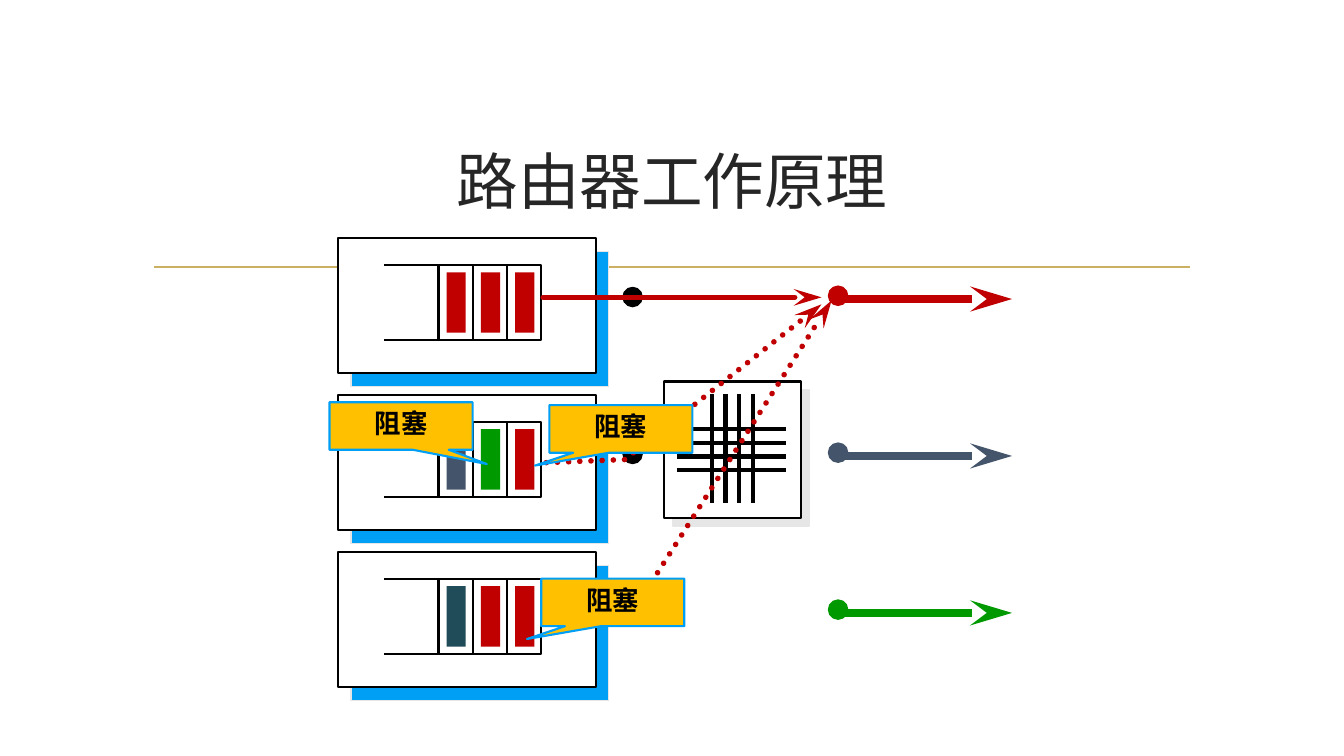
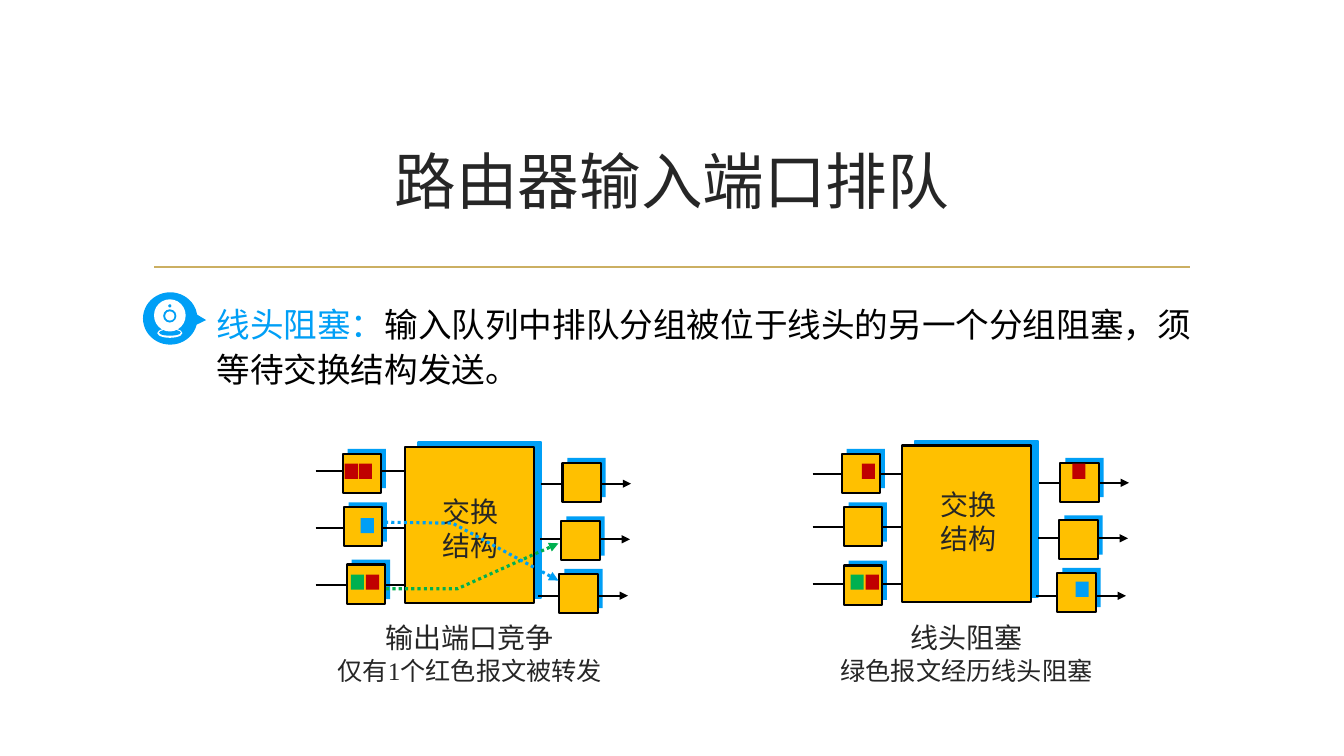
from lxml.etree import SubElement
from pptx import Presentation
from pptx.dml.color import RGBColor
from pptx.enum.dml import MSO_LINE
from pptx.enum.shapes import MSO_CONNECTOR, MSO_SHAPE
from pptx.enum.text import MSO_ANCHOR, PP_ALIGN
from pptx.oxml.ns import qn
from pptx.util import Pt

BLACK, WHITE, INK, GREY = "000000", "FFFFFF", "262626", "E7E6E6"
RED, BLUE, GOLD, GREEN = "C00000", "009FF6", "FFC000", "00B050"
SLATE, LEAF, TEAL, RULE = "44546A", "009900", "204B58", "CBAF62"
SANS, SERIF = "Noto Sans CJK SC", "Times New Roman"

PRINCIPLE_TITLE = "路由器工作原理"
QUEUES = [
    {"packets": [RED, RED, RED], "output": RED},
    {"packets": [SLATE, LEAF, RED], "output": SLATE},
    {"packets": [TEAL, RED, RED], "output": LEAF},
]
ROUTES = [
    ([(389.5, 437.8), (451.4, 437.8), (594, 214.6)], True),
    ([(388, 212.4), (448.6, 212.4), (586.8, 212.4)], False),
    ([(390.2, 330.5), (446.4, 328.3), (586.8, 217.4)], True),
]
BLOCKED = "阻塞"
CALLOUTS = [
    (235.4, 287.3, 0.6, 0.8),
    (386.6, 413.3, -0.6, 0.77),
    (392.4, 289.4, -0.6, 0.77),
]

QUEUING_TITLE = "路由器输入端口排队"
TERM = "线头阻塞："
MEANING = "输入队列中排队分组被位于线头的另一个分组阻塞，须等待交换结构发送。"
FABRIC = "交换结构"
DIAGRAMS = [
    {
        "fabric": (289.4, 319), "label": (301.7, 350, 69),
        "inputs": [
            (244.8, 324, 12.2, [(1.4, 7.2, RED), (11.5, 7.2, RED)]),
            (245.5, 362.2, 15, [(12.2, 7.9, BLUE)]),
            (247.7, 403.2, 14.4, [(13.7, 7.2, RED), (2.9, 7.2, GREEN)]),
        ],
        "outputs": [(401.8, 330.5, 15, []), (401, 372.2, 13, []), (399.6, 409.7, 15.8, [])],
        "paths": [
            ([(275.8, 420.5), (326.9, 420.5), (398.9, 388.1)], GREEN),
            ([(275, 373), (323.3, 373.7), (398.9, 414.7)], BLUE),
        ],
        "caption": (208.1, "输出端口竞争", "仅有1个红色报文被转发"),
    },
    {
        "fabric": (644.4, 318.2), "label": (662.4, 345, 59),
        "inputs": [
            (601.2, 324, 14.4, [(14.4, 7.2, RED)]),
            (602.6, 362.2, 14.4, []),
            (602.6, 403.9, 13, [(15.8, 6.5, RED), (5, 6.5, GREEN)]),
        ],
        "outputs": [
            (757.4, 330.5, 14.4, [(8.6, 0.7, RED)]),
            (756.7, 371.5, 13, []),
            (755.3, 409, 16.6, [(13, 6.5, BLUE)]),
        ],
        "paths": [],
        "caption": (563, "线头阻塞", "绿色报文经历线头阻塞"),
    },
]
WEBCAM = [
    (112.3, 234.5, 18, 6.8, WHITE), (113.6, 235.4, 15.6, 4.4, BLUE),
    (110, 213.8, 22.6, 23, WHITE), (116.6, 221, 9.4, 9.4, BLUE),
    (118, 222.4, 6.6, 6.6, WHITE), (120.2, 217.4, 2.2, 2.2, BLUE),
]


def rgb(value):
    """Turn a hex string into a colour."""
    return RGBColor.from_string(value)


def stroke(line, color, width, dotted=False, rounded=False, head=None, length="med"):
    """Set the colour, width, dash, cap and arrowhead of a line."""
    line.color.rgb = rgb(color)
    line.width = Pt(width)
    if dotted:
        line.dash_style = MSO_LINE.ROUND_DOT
    ln = line._get_or_add_ln()
    if rounded:
        ln.set("cap", "rnd")
    if head:
        SubElement(ln, qn("a:tailEnd"), type=head, w="med", len=length)


def box(slide, x, y, w, h, fill, outline=None, width=1.5, kind=MSO_SHAPE.RECTANGLE):
    """Add a filled preset shape without a shadow."""
    shape = slide.shapes.add_shape(kind, Pt(x), Pt(y), Pt(w), Pt(h))
    shape.shadow.inherit = False
    shape.fill.solid()
    shape.fill.fore_color.rgb = rgb(fill)
    if outline:
        stroke(shape.line, outline, width)
    else:
        shape.line.fill.background()
    return shape


def segment(slide, x1, y1, x2, y2, color=BLACK, width=1.5, **ends):
    """Add a straight line without a shadow."""
    line = slide.shapes.add_connector(MSO_CONNECTOR.STRAIGHT, Pt(x1), Pt(y1), Pt(x2), Pt(y2))
    SubElement(line._element.spPr, qn("a:effectLst"))
    stroke(line.line, color, width, **ends)


def polyline(slide, points, color, width, **ends):
    """Add an open outline through the given points."""
    start, *rest = [(Pt(x), Pt(y)) for x, y in points]
    builder = slide.shapes.build_freeform(*start, scale=1.0)
    builder.add_line_segments(rest, close=False)
    shape = builder.convert_to_shape()
    shape.shadow.inherit = False
    shape.fill.background()
    stroke(shape.line, color, width, **ends)


def style(run, size, color, font, bold=False):
    """Format one run, for Latin and Chinese text alike."""
    run.font.size = Pt(size)
    run.font.bold = bold
    run.font.color.rgb = rgb(color)
    run.font.name = font
    SubElement(run._r.get_or_add_rPr(), qn("a:ea"), typeface=SANS)


def text(slide, x, y, w, h, lines, align=PP_ALIGN.CENTER):
    """Add wrapped text; each line is (runs, size, spacing)."""
    frame = slide.shapes.add_textbox(Pt(x), Pt(y), Pt(w), Pt(h)).text_frame
    frame.word_wrap = True
    for i, (runs, size, spacing) in enumerate(lines):
        paragraph = frame.add_paragraph() if i else frame.paragraphs[0]
        paragraph.alignment = align
        paragraph.line_spacing = Pt(spacing)
        for words, color in runs:
            run = paragraph.add_run()
            run.text = words
            style(run, size, color, SERIF)


def titled_slide(deck, words):
    """Add a slide with the shared title and rule."""
    slide = deck.slides.add_slide(deck.slide_layouts[5])
    title = slide.shapes.title
    title.left, title.top, title.width, title.height = Pt(102.2), Pt(77), Pt(756), Pt(103)
    title.text_frame.text = words
    title.text_frame.vertical_anchor = MSO_ANCHOR.MIDDLE
    paragraph = title.text_frame.paragraphs[0]
    paragraph.alignment = PP_ALIGN.CENTER
    style(paragraph.runs[0], 44, INK, SANS)
    segment(slide, 110.2, 190.8, 850.3, 190.8, RULE, 1.25)
    return slide


def crossbar(slide, x, y, size=97.5):
    """Draw the switching grid with its soft grey shadow."""
    frame = box(slide, x, y, size, size, WHITE, BLACK)
    shadow = SubElement(frame._element.spPr.find(qn("a:effectLst")), qn("a:outerShdw"),
                        dist=str(Pt(8.5)), dir="2700000", algn="ctr", rotWithShape="0")
    SubElement(shadow, qn("a:srgbClr"), val=GREY)
    for i in range(4):
        offset = 34 + 9.8 * i
        segment(slide, x + offset, y + 9, x + offset, y + 87, width=3)
        segment(slide, x + 9, y + offset, x + 87, y + offset, width=3)


def queue(slide, y, packets, output):
    """Draw one input queue and its output line."""
    box(slide, 445, y + 35.3, 13.7, 13.7, BLACK, BLACK, 1, MSO_SHAPE.OVAL)
    box(slide, 250.6, y + 9.8, 184.3, 96.5, BLUE, GREY, 1)
    box(slide, 241.2, y, 184.3, 96.5, WHITE, BLACK)
    top, bottom = y + 19.4, y + 73
    polyline(slide, [(274.3, top), (386.6, top), (386.6, bottom), (274.3, bottom)], BLACK, 1.5)
    for i, color in enumerate(packets):
        x = 313.2 + 24.5 * i
        segment(slide, x, top, x, bottom)
        box(slide, x + 5.8, y + 24.5, 13.7, 43.2, color)
    segment(slide, 601.2, y + 43.6, 722.9, y + 43.6, output, 6, head="stealth", length="lg")
    box(slide, 591.8, y + 34.4, 13.7, 13.7, output, output, 1, MSO_SHAPE.OVAL)


def port(slide, x, y, wire_start, wire_y, packets, head=None):
    """Draw one port with its wire and waiting packets."""
    box(slide, x + 3.5, y - 3.4, 27.4, 28.1, BLUE)
    segment(slide, wire_start, y + wire_y, wire_start + 64, y + wire_y, head=head)
    box(slide, x, y, 27.4, 28.1, GOLD, BLACK)
    for dx, dy, color in packets:
        box(slide, x + dx, y + dy, 9.4, 10.8, color)


def diagram(slide, parts):
    """Draw one switching fabric with its ports and caption."""
    x, y = parts["fabric"]
    box(slide, x + 9.5, y - 3.5, 87.8, 111.6, BLUE, BLUE)
    box(slide, x, y, 92.2, 111.6, GOLD, BLACK)
    label_x, label_y, label_w = parts["label"]
    text(slide, label_x, label_y, label_w, 55.4, [([(FABRIC, INK)], 20, 24)])
    for px, py, wire_y, packets in parts["inputs"]:
        port(slide, px, py, x - 64, wire_y, packets)
    for px, py, wire_y, packets in parts["outputs"]:
        port(slide, px, py, px - 15, wire_y, packets, "triangle")
    for points, color in parts["paths"]:
        polyline(slide, points, color, 2.25, dotted=True, head="triangle")
    caption_x, heading, detail = parts["caption"]
    text(slide, caption_x, 440, 254.9, 53.3,
         [([(heading, INK)], 20, 24), ([(detail, INK)], 18, 22)])


def principle_slide(deck):
    """Build the slide of blocked queues."""
    slide = titled_slide(deck, PRINCIPLE_TITLE)
    crossbar(slide, 474.5, 272.5)
    for i, row in enumerate(QUEUES):
        queue(slide, 170 + 112.1 * i, **row)
    for points, dotted in ROUTES:
        polyline(slide, points, RED, 4, dotted=dotted, rounded=True, head="stealth", length="lg")
    for x, y, tip_x, tip_y in CALLOUTS:
        callout = box(slide, x, y, 102.2, 34, GOLD, BLUE, kind=MSO_SHAPE.RECTANGULAR_CALLOUT)
        callout.adjustments[0], callout.adjustments[1] = tip_x, tip_y
        frame = callout.text_frame
        frame.margin_top, frame.margin_bottom = 0, Pt(4)
        frame.vertical_anchor = MSO_ANCHOR.MIDDLE
        frame.text = BLOCKED
        frame.paragraphs[0].alignment = PP_ALIGN.CENTER
        style(frame.paragraphs[0].runs[0], 18.9, BLACK, SANS, True)


def queuing_slide(deck):
    """Build the slide of head-of-line blocking."""
    slide = titled_slide(deck, QUEUING_TITLE)
    for parts in DIAGRAMS:
        diagram(slide, parts)
    badge = box(slide, 102.2, 208.8, 38.9, 37.4, BLUE, kind=MSO_SHAPE.OVAL_CALLOUT)
    badge.adjustments[0], badge.adjustments[1] = 0.66, 0.03
    for x, y, w, h, color in WEBCAM:
        box(slide, x, y, w, h, color, kind=MSO_SHAPE.OVAL)
    text(slide, 147.6, 210.3, 720.7, 69.1,
         [([(TERM, BLUE), (MEANING, BLACK)], 24, 32)], PP_ALIGN.LEFT)


def main():
    """Build and save the deck."""
    deck = Presentation()
    deck.slide_width, deck.slide_height = Pt(960), Pt(540)
    principle_slide(deck)
    queuing_slide(deck)
    deck.save("out.pptx")


if __name__ == "__main__":
    main()
